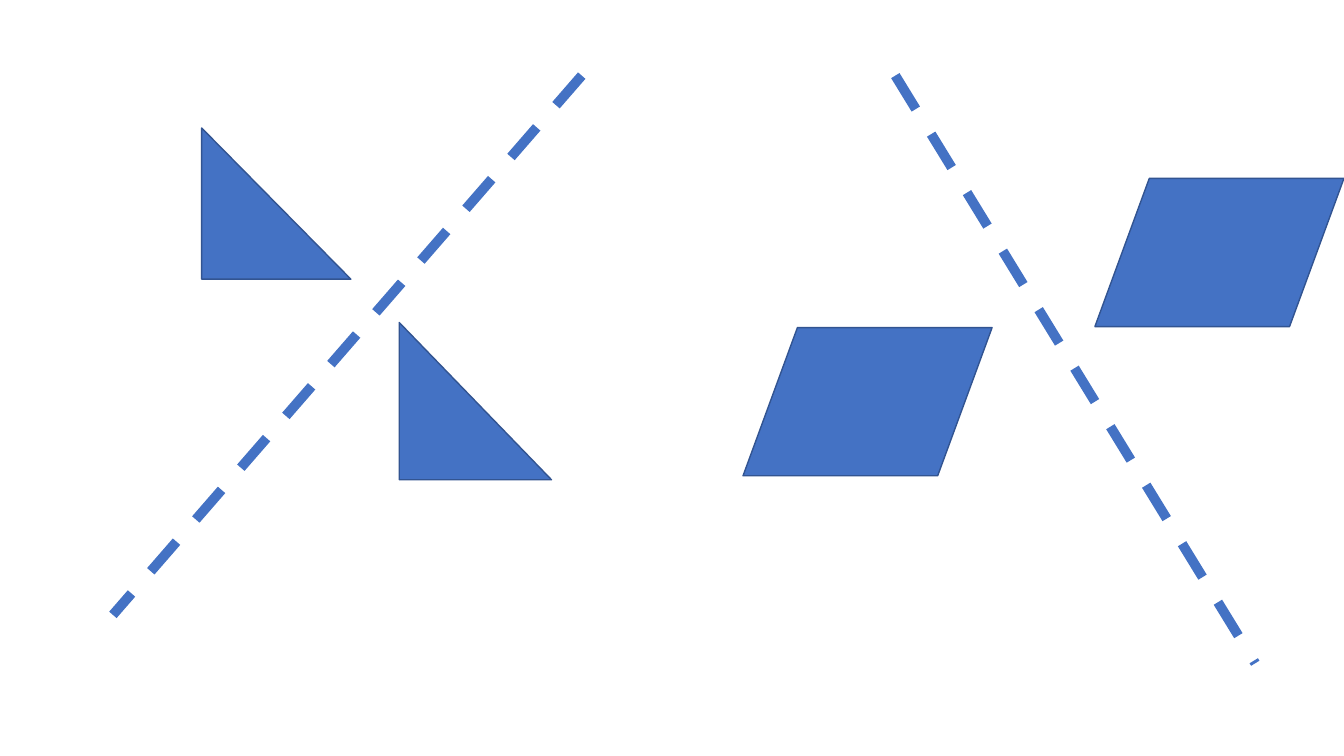
from lxml import etree
from pptx import Presentation
from pptx.dml.color import RGBColor
from pptx.enum import dml, shapes
from pptx.oxml import ns
from pptx.util import Inches, Pt

COLORS = {"blue": "4472C4", "outline": "325491"}
PARALLELOGRAM_SIZE = (2.47, 1.47)
PARALLELOGRAM_SLANT = 0.367


def add_mirror_line(page, start, end):
    line = page.shapes.add_connector(
        shapes.MSO_CONNECTOR.STRAIGHT, *map(Inches, start + end)
    )
    line.line.color.rgb = RGBColor.from_string(COLORS["blue"])
    line.line.width = Pt(7)
    line.line.dash_style = dml.MSO_LINE.DASH
    properties = line._element.spPr
    etree.SubElement(properties, ns.qn("a:effectLst"))


def add_figure(page, kind, position, size, slant=None):
    figure = page.shapes.add_shape(kind, *map(Inches, position + size))
    figure.shadow.inherit = False
    figure.fill.solid()
    figure.fill.fore_color.rgb = RGBColor.from_string(COLORS["blue"])
    figure.line.color.rgb = RGBColor.from_string(COLORS["outline"])
    figure.line.width = Pt(1)
    if slant is not None:
        figure.adjustments[0] = slant


def main():
    deck = Presentation()
    deck.slide_width = Inches(13.33)
    deck.slide_height = Inches(7.5)
    page = deck.slides.add_slide(deck.slide_layouts[6])

    triangle = shapes.MSO_SHAPE.RIGHT_TRIANGLE
    add_mirror_line(page, (5.77, 0.75), (1.12, 6.1))
    add_figure(page, triangle, (2, 1.27), (1.48, 1.5))
    add_figure(page, triangle, (3.96, 3.2), (1.51, 1.56))

    add_mirror_line(page, (8.88, 0.75), (12.45, 6.58))
    for position in ((7.37, 3.25), (10.86, 1.77)):
        add_figure(
            page,
            shapes.MSO_SHAPE.PARALLELOGRAM,
            position,
            PARALLELOGRAM_SIZE,
            slant=PARALLELOGRAM_SLANT,
        )

    deck.save("out.pptx")


if __name__ == "__main__":
    main()
